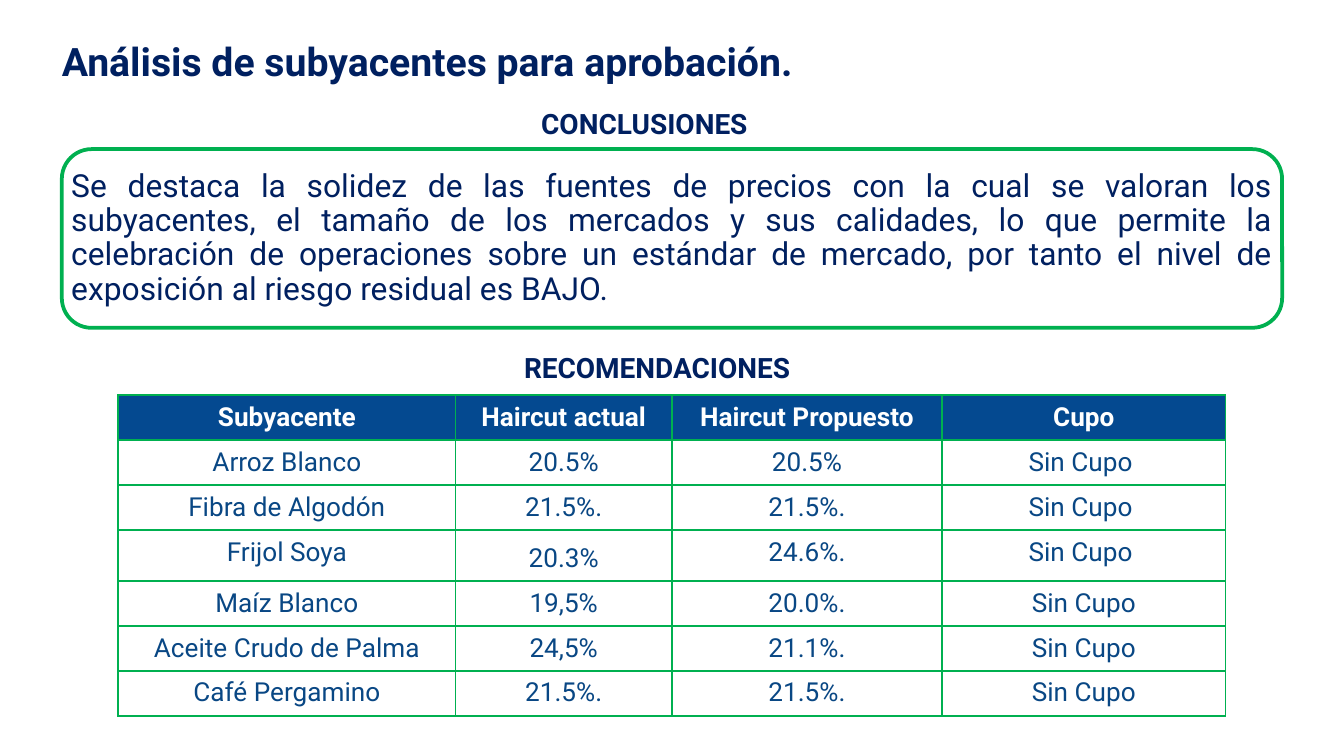
from lxml.etree import SubElement
from pptx import Presentation
from pptx.dml.color import RGBColor
from pptx.enum.shapes import MSO_SHAPE
from pptx.enum.text import MSO_ANCHOR, PP_ALIGN
from pptx.oxml.ns import qn
from pptx.util import Inches, Pt

NAVY = RGBColor(0x00, 0x20, 0x60)
GREEN = RGBColor(0x00, 0xB0, 0x50)
BLUE = RGBColor(0x04, 0x49, 0x90)
INK = RGBColor(0x09, 0x47, 0x84)
WHITE = RGBColor(0xFF, 0xFF, 0xFF)

SUMMARY = (
    "Se destaca la solidez de las fuentes de precios con la cual se valoran los "
    "subyacentes, el tamaño de los mercados y sus calidades, lo que permite la "
    "celebración de operaciones sobre un estándar de mercado, por tanto el nivel "
    "de exposición al riesgo residual es BAJO."
)
PANEL = (0.46, 1.11, 9.08, 1.33)
ROWS = [
    ("Subyacente", "Haircut actual", "Haircut Propuesto", "Cupo"),
    ("Arroz Blanco", "20.5%", "20.5%", "Sin Cupo "),
    ("Fibra de Algodón", "21.5%.", "21.5%.", "Sin Cupo "),
    ("Frijol Soya", "20.3%", "24.6%.", "Sin Cupo "),
    ("Maíz Blanco", "19,5%", "20.0%.", "Sin Cupo"),
    ("Aceite Crudo de Palma", "24,5%", "21.1%.", "Sin Cupo"),
    ("Café Pergamino", "21.5%.", "21.5%.", "Sin Cupo"),
]
WIDTHS = [2.51, 1.61, 2.01, 2.11]


def write(frame, text, size, color, bold=False, align=PP_ALIGN.CENTER, space=None):
    para = frame.paragraphs[0]
    para.text = text
    para.alignment = align
    para.line_spacing = space
    font = para.font
    font.name = "Roboto"
    font.size = Pt(size)
    font.bold = bold
    font.color.rgb = color


def add_frame(slide, box, side, edge):
    frame = slide.shapes.add_textbox(*map(Inches, box)).text_frame
    frame.word_wrap = True
    frame.margin_left = frame.margin_right = Inches(side)
    frame.margin_top = frame.margin_bottom = Inches(edge)
    return frame


def add_title(slide, box, text):
    write(add_frame(slide, box, 0, 0), text, 21, NAVY, True, PP_ALIGN.LEFT, 1.2)


def add_heading(slide, box, text):
    write(add_frame(slide, box, 0.1, 0.05), text, 15, NAVY, True, space=1.2)


def add_panel(slide, box, text):
    panel = slide.shapes.add_shape(MSO_SHAPE.ROUNDED_RECTANGLE, *map(Inches, box))
    panel.shadow.inherit = False
    panel.fill.background()
    panel.line.color.rgb = GREEN
    panel.line.width = Pt(2)
    frame = add_frame(slide, box, 0.07, 0.07)
    frame.vertical_anchor = MSO_ANCHOR.MIDDLE
    write(frame, text, 17, NAVY, align=PP_ALIGN.JUSTIFY, space=0.9)


def add_border(cell):
    props = cell._tc.get_or_add_tcPr()
    for index, side in enumerate(("lnL", "lnR", "lnT", "lnB")):
        line = props.makeelement(qn(f"a:{side}"), {"w": str(Pt(1))})
        fill = SubElement(line, qn("a:solidFill"))
        SubElement(fill, qn("a:srgbClr"), val=str(GREEN))
        props.insert(index, line)


def add_grid(slide, left, top, height):
    shape = slide.shapes.add_table(
        len(ROWS), len(WIDTHS), Inches(left), Inches(top),
        Inches(sum(WIDTHS)), Inches(height),
    )
    table = shape.table
    for column, width in zip(table.columns, WIDTHS):
        column.width = Inches(width)
    for i, row in enumerate(ROWS):
        for j, text in enumerate(row):
            cell = table.cell(i, j)
            head = i == 0
            if head:
                cell.fill.solid()
                cell.fill.fore_color.rgb = BLUE
            else:
                cell.fill.background()
            space = 1.2 if text == "20.3%" else None
            write(cell.text_frame, text, 14, WHITE if head else INK, head, space=space)
            add_border(cell)


def main():
    deck = Presentation()
    deck.slide_width = Inches(10)
    deck.slide_height = deck.slide_width * 9 // 16
    slide = deck.slides.add_slide(deck.slide_layouts[6])
    add_heading(slide, (3.01, 0.69, 3.57, 0.3), "CONCLUSIONES")
    add_title(slide, (0.46, 0.21, 6.85, 0.43), "Análisis de subyacentes para aprobación.")
    add_heading(slide, (3.44, 2.51, 2.9, 0.26), "RECOMENDACIONES")
    add_panel(slide, PANEL, SUMMARY)
    add_grid(slide, 0.88, 2.94, 2.34)
    deck.save("out.pptx")


if __name__ == "__main__":
    main()
